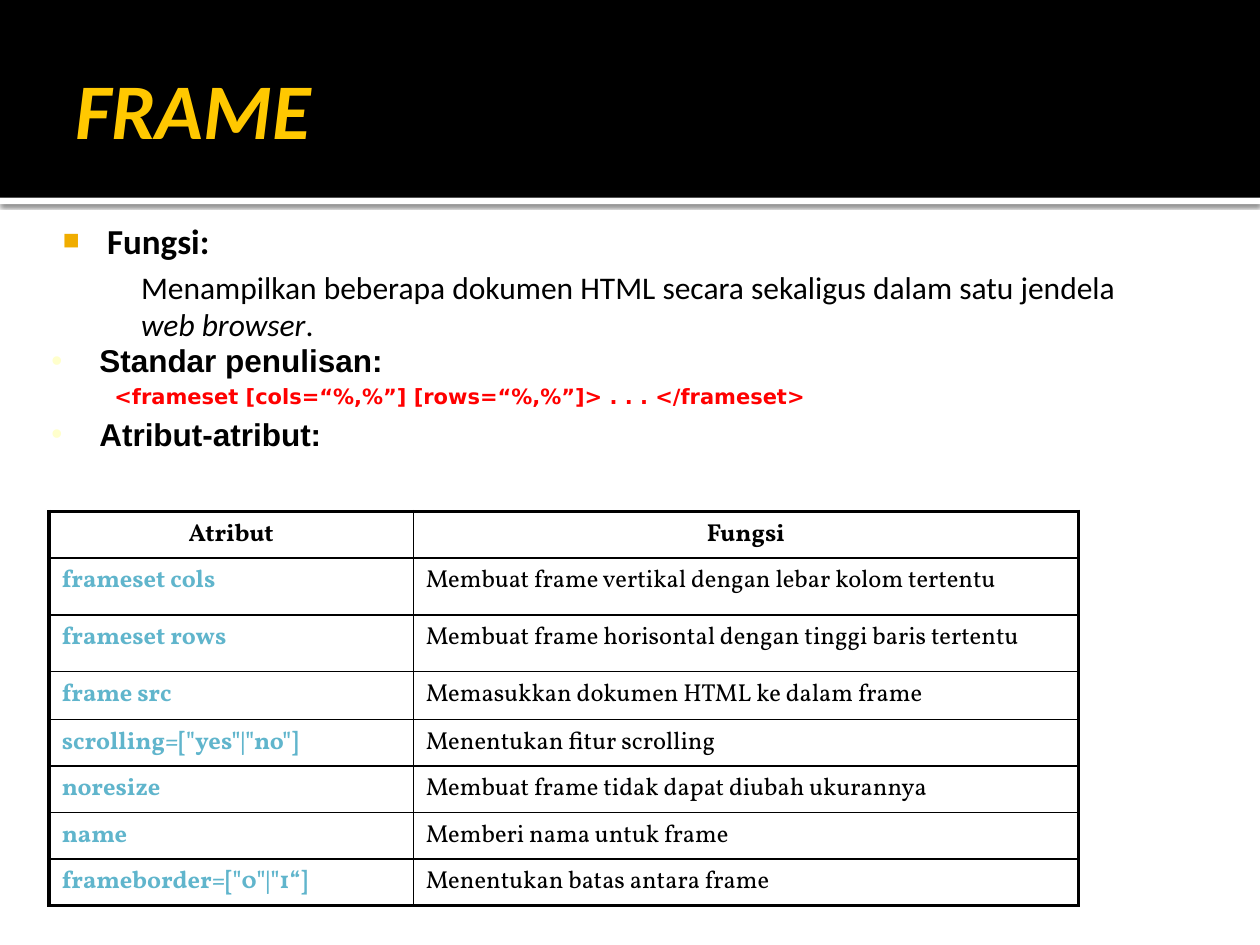
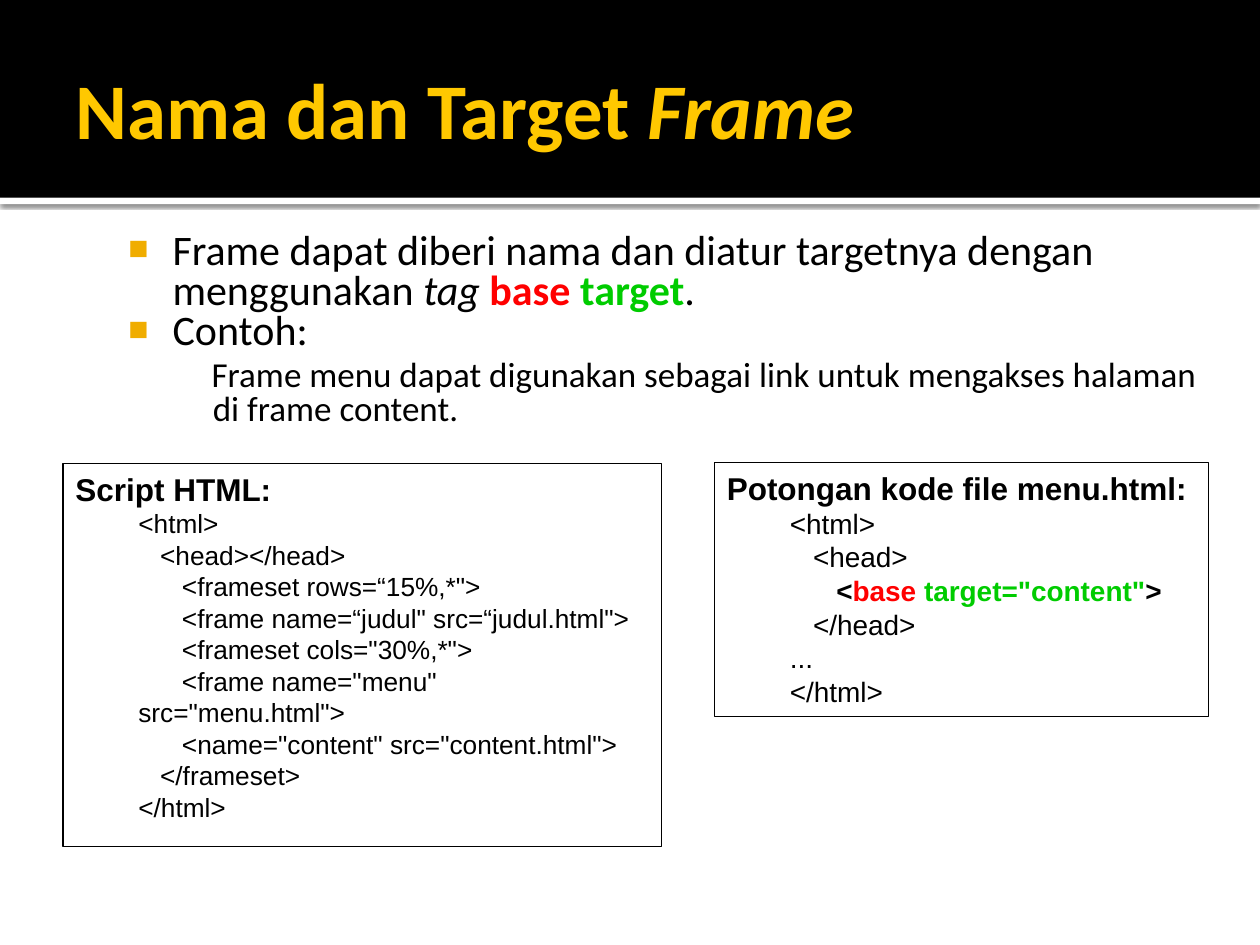
from lxml.etree import SubElement
from pptx import Presentation
from pptx.dml.color import RGBColor
from pptx.enum.shapes import MSO_SHAPE
from pptx.enum.text import MSO_ANCHOR, PP_ALIGN
from pptx.oxml import parse_xml
from pptx.oxml.ns import nsdecls, qn
from pptx.util import Inches, Pt

BLACK, WHITE, GOLD = "000000", "FFFFFF", "FFC800"
AMBER, CREAM, TEAL = "F0AD00", "FFFFCC", "60B5CC"
RED, GREEN = "FF0000", "00CC00"
SQUARE, DOT = ("■", AMBER, 80), ("•", CREAM, 100)
INSET, BODY = (0.1, 0.05, 0.1, 0.05), (0.06, 0.1, 0.1, 0.05)

hue = RGBColor.from_string
deck = Presentation()
deck.slide_width, deck.slide_height = Inches(10), Inches(7.5)


def place(left, top, width, height):
    """Turn percentages of the slide into lengths."""
    wide, high = deck.slide_width / 100, deck.slide_height / 100
    return [int(n) for n in (left * wide, top * high, width * wide, height * high)]


def write(frame, rows, font, inset=INSET):
    """Fill a frame; a row is runs, size, margin, indent, bullet, space before, line spacing.

    A run is its text, its style ("b", "i") and its colour.
    """
    frame.word_wrap = True
    (frame.margin_left, frame.margin_top,
     frame.margin_right, frame.margin_bottom) = map(Inches, inset)
    for i, (runs, size, margin, indent, mark, before, line) in enumerate(rows):
        par = frame.add_paragraph() if i else frame.paragraphs[0]
        par.level = 1 if margin and not mark else 0
        par.line_spacing, par.space_before = line, Pt(before)
        props = par._p.get_or_add_pPr()
        props.set("marL", str(Inches(margin)))
        props.set("indent", str(Inches(indent)))
        if mark:
            char, tint, share = mark
            SubElement(SubElement(props, qn("a:buClr")), qn("a:srgbClr"), val=tint)
            SubElement(props, qn("a:buSzPct"), val=str(share * 1000))
            SubElement(props, qn("a:buFont"), typeface="Arial")
            SubElement(props, qn("a:buChar"), char=char)
        else:
            SubElement(props, qn("a:buNone"))
        for text, style, tint in runs:
            run = par.add_run()
            run.text = text
            run.font.name, run.font.size = font, Pt(size)
            run.font.bold, run.font.italic = "b" in style, "i" in style
            run.font.color.rgb = hue(tint)


# Bands and titles
titles = [
    [("FRAME", "bi", GOLD)],
    [("Nama dan Target ", "b", GOLD), ("Frame", "bi", GOLD)],
]
slides = []
for title in titles:
    slide = deck.slides.add_slide(deck.slide_layouts[6])
    slides.append(slide)
    for tint, top, height in ((WHITE, 20.93, 0.67), (BLACK, 0, 20.93)):
        band = slide.shapes.add_shape(MSO_SHAPE.RECTANGLE, *place(0, top, 100, height))
        band.shadow.inherit = False
        band.fill.solid()
        band.fill.fore_color.rgb = hue(tint)
        band.line.fill.background()
        if tint == WHITE:
            glow = band._element.spPr.find(qn("a:effectLst"))
            glow.append(parse_xml(
                f'<a:outerShdw {nsdecls("a")} blurRad="{Pt(2.5)}" dist="{Pt(0.8)}" '
                f'dir="5400000" rotWithShape="0"><a:srgbClr val="{BLACK}">'
                '<a:alpha val="60000"/></a:srgbClr></a:outerShdw>'))
    head = slide.shapes.add_textbox(*place(5, 2.27, 90, 18.27)).text_frame
    head.vertical_anchor = MSO_ANCHOR.MIDDLE
    write(head, [(title, 45, 0, 0, None, 0, 1)], "Calibri", (0.1, 0.05, 0.05, 0.05))
first, second = slides

# Slide 1: purpose, syntax and attributes
use = first.shapes.add_textbox(*place(3.1, 21.87, 86.7, 15.6)).text_frame
write(use, [
    ([("Fungsi:", "b", BLACK)], 20, 0.48, -0.35, SQUARE, 0, 1),
    ([("Menampilkan beberapa dokumen HTML secara sekaligus dalam satu jendela ", "", BLACK),
      ("web browser", "i", BLACK), (".", "", BLACK)], 18, 0.75, 0, None, 3.6, 1),
], "Calibri", BODY)

rule = first.shapes.add_textbox(*place(3.1, 35.47, 84.2, 17.73)).text_frame
write(rule, [
    ([("Standar penulisan:", "b", BLACK)], 18, 0.38, -0.38, DOT, 3.6, 1),
    ([("<frameset [cols=“%,%”] [rows=“%,%”]> . . . </frameset>", "b", RED)],
     12, 0.81, -0.31, None, 2.4, 1),
    ([("Atribut-atribut:", "b", BLACK)], 18, 0.38, -0.38, DOT, 3.6, 1),
], "Arial")
for run in rule.paragraphs[1].runs:
    run.font.name = "DejaVu Sans"

data = [
    ("Atribut", "Fungsi"),
    ("frameset cols", "Membuat frame vertikal dengan lebar kolom tertentu"),
    ("frameset rows", "Membuat frame horisontal dengan tinggi baris tertentu"),
    ("frame src", "Memasukkan dokumen HTML ke dalam frame"),
    ('scrolling=["yes"|"no"]', "Menentukan fitur scrolling"),
    ("noresize", "Membuat frame tidak dapat diubah ukurannya"),
    ("name", "Memberi nama untuk frame"),
    ('frameborder=["0"|"1“]', "Menentukan batas antara frame"),
]
last = len(data) - 1
grid = first.shapes.add_table(len(data), 2, *place(3.9, 54.13, 81.7, 41.6)).table
grid.first_row = grid.horz_banding = False
for col, width in zip(grid.columns, (2.89, 5.28)):
    col.width = Inches(width)
for r, pair in enumerate(data):
    grid.rows[r].height = Inches({1: 0.45, 2: 0.45, 3: 0.38}.get(r, 0.37))
    for c, text in enumerate(pair):
        cell = grid.cell(r, c)
        cell.text_frame.text = text
        par = cell.text_frame.paragraphs[0]
        par.alignment = PP_ALIGN.LEFT if r else PP_ALIGN.CENTER
        font = par.runs[0].font
        font.name, font.size = "Vollkorn", Pt(14)
        font.bold = r == 0 or c == 0
        font.color.rgb = hue(TEAL if r and c == 0 else BLACK)
        edges = {"L": c == 0, "R": c == 1, "T": r == 0, "B": r == last}
        for side, outer in edges.items():
            edge = SubElement(cell._tc.get_or_add_tcPr(), qn(f"a:ln{side}"),
                              w=str(Pt(2.25 if outer else 1)))
            SubElement(SubElement(edge, qn("a:solidFill")), qn("a:srgbClr"), val=BLACK)
        cell.fill.background()

# Slide 2: naming frames, with two code boxes
note = second.shapes.add_textbox(*place(8.3, 23.33, 90, 23.33)).text_frame
write(note, [
    ([("Frame dapat diberi nama dan diatur targetnya dengan menggunakan ", "", BLACK),
      ("tag ", "i", BLACK), ("base ", "b", RED), ("target", "b", GREEN), (".", "", BLACK)],
     24, 0.48, -0.35, SQUARE, 0, 0.8),
    ([("Contoh:", "", BLACK)], 24, 0.48, -0.35, SQUARE, 0, 0.8),
    ([("Frame menu dapat digunakan sebagai link untuk mengakses halaman di frame content.",
       "", BLACK)], 20, 0.8, -0.01, None, 4, 0.8),
], "Calibri", BODY)

base = [("<", "b", BLACK), ("base ", "b", RED),
        ('target="content"', "b", GREEN), (">", "b", BLACK)]
codes = [
    ("Script HTML:", (5, 49.07, 47.5, 40.53), 15, [
        (0, "<html>"),
        (1, "<head></head>"),
        (2, '<frameset rows=“15%,*">'),
        (2, '<frame name=“judul" src=“judul.html">'),
        (2, '<frameset cols="30%,*">'),
        (2, '<frame name="menu" src="menu.html">'),
        (2, '<name="content" src="content.html">'),
        (1, "</frameset>"),
        (0, "</html>"),
    ]),
    ("Potongan kode file menu.html:", (56.7, 48.93, 39.2, 26.93), 16, [
        (0, "<html>"),
        (1, "<head>"),
        (2, base),
        (1, "</head>"),
        (0, "..."),
        (0, "</html>"),
    ]),
]
for name, spot, size, lines in codes:
    box = second.shapes.add_textbox(*place(*spot))
    box.line.color.rgb, box.line.width = hue(BLACK), Pt(0.75)
    step = Pt(size * 0.83).inches
    rows = [([(name, "b", BLACK)], 18, 0, 0, None, 0, 1)]
    for depth, code in lines:
        runs = code if code is base else [(code, "", BLACK)]
        rows.append((runs, size, 0.5, depth * step, None, 0, 1))
    write(box.text_frame, rows, "Arial")

deck.save("out.pptx")
